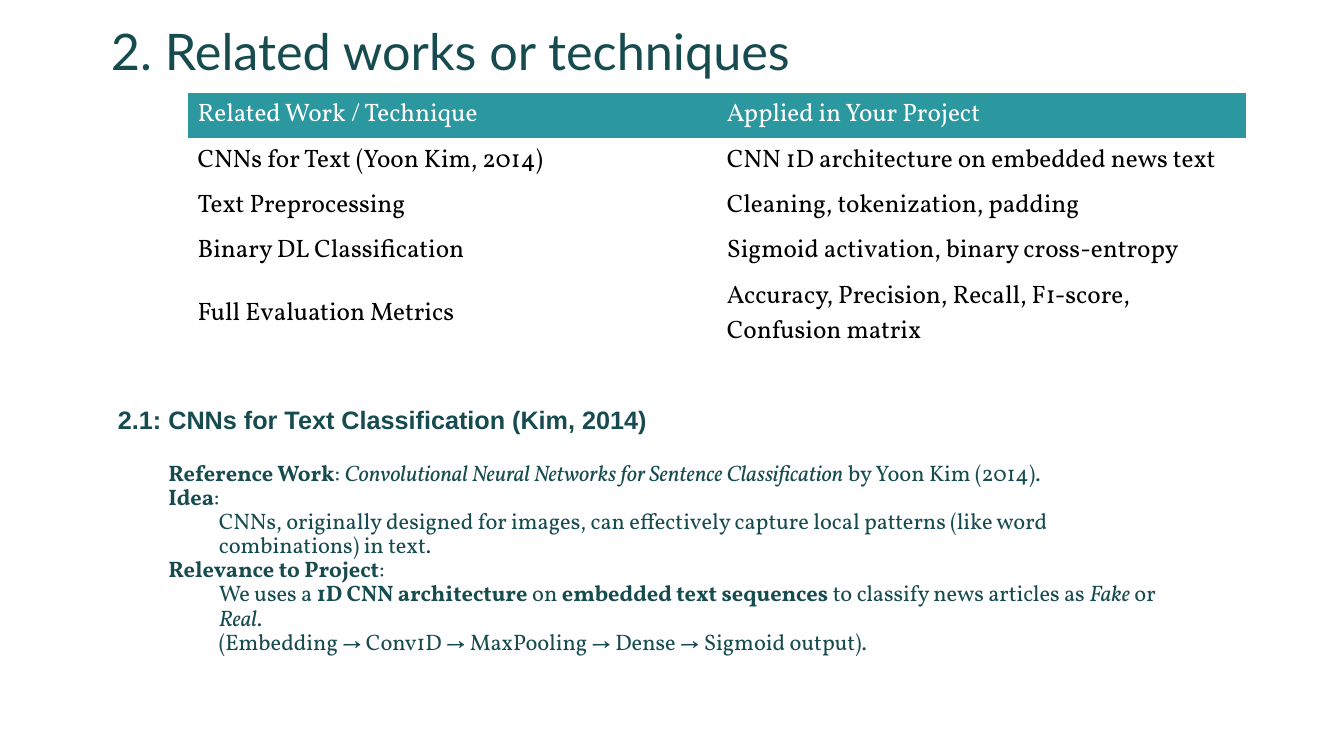
from dataclasses import dataclass

from lxml import etree
from pptx import Presentation
from pptx import util as u
from pptx.dml.color import RGBColor
from pptx.enum import text
from pptx.oxml.ns import qn

Inches, Pt = u.Inches, u.Pt
NO_GRID = "{2D5ABB26-0587-4C30-8999-92F81FD0307C}"


@dataclass(frozen=True)
class Theme:
    ink: str = "164B4F"
    accent: str = "2B979F"
    white: str = "FFFFFF"
    black: str = "000000"
    title_font: str = "Lato"
    heading_font: str = "Arial"
    body_font: str = "Vollkorn"
    title_size: int = 36
    heading_size: int = 18
    table_size: int = 18
    body_size: int = 16


THEME = Theme()

TECHNIQUES = [
    ("Related Work / Technique", "Applied in Your Project"),
    ("CNNs for Text (Yoon Kim, 2014)", "CNN 1D architecture on embedded news text"),
    ("Text Preprocessing", "Cleaning, tokenization, padding"),
    ("Binary DL Classification", "Sigmoid activation, binary cross-entropy"),
    ("Full Evaluation Metrics", "Accuracy, Precision, Recall, F1-score, Confusion matrix"),
]

# Each entry: outline level, then (text, style) pieces; "b" bold, "i" italic
HEADING = "2.1: CNNs for Text Classification (Kim, 2014)"
OUTLINE = [
    (1, [("Reference Work", "b"), (": ", ""),
         ("Convolutional Neural Networks for Sentence Classification", "i"),
         (" by Yoon Kim (2014).", "")]),
    (1, [("Idea", "b"), (":", "")]),
    (2, [("CNNs, originally designed for images, can effectively capture local "
          "patterns (like word combinations) in text.", "")]),
    (1, [("Relevance to Project", "b"), (":", "")]),
    (2, [("We uses a ", ""), ("1D CNN architecture", "b"), (" on ", ""),
         ("embedded text sequences", "b"), (" to classify news articles as ", ""),
         ("Fake", "i"), (" or ", ""), ("Real", "i"), (".", ""), ("\n", ""),
         ("(Embedding → Conv1D → MaxPooling → Dense → Sigmoid output).", "")]),
]


def place(sp, box):
    sp.left, sp.top, sp.width, sp.height = (Inches(v) for v in box)


def style_run(r, font, size, color, style=""):
    r.font.name, r.font.size = font, Pt(size)
    r.font.color.rgb = RGBColor.from_string(color)
    r.font.bold, r.font.italic = "b" in style, "i" in style


def add_title(s, box, title):
    sp = s.shapes.title
    place(sp, box)
    tf = sp.text_frame
    tf.text = title
    tf.vertical_anchor = text.MSO_ANCHOR.BOTTOM
    tf.auto_size = text.MSO_AUTO_SIZE.NONE
    p = tf.paragraphs[0]
    p.alignment = text.PP_ALIGN.LEFT
    p.line_spacing = 0.9
    style_run(p.runs[0], THEME.title_font, THEME.title_size, THEME.ink)


def add_technique_table(s, box, rows):
    left, top, width, height = (Inches(v) for v in box)
    frame = s.shapes.add_table(len(rows), len(rows[0]), left, top, width, height)
    table = frame.table
    table.horz_banding = False
    frame._element.find(".//" + qn("a:tableStyleId")).text = NO_GRID
    for i, row in enumerate(rows):
        # The last row holds two lines
        table.rows[i].height = Inches(0.8 if i == len(rows) - 1 else 0.45)
        for j, label in enumerate(row):
            cell = table.cell(i, j)
            cell.text = label
            cell.vertical_anchor = text.MSO_ANCHOR.MIDDLE
            if i == 0:
                cell.fill.solid()
                cell.fill.fore_color.rgb = RGBColor.from_string(THEME.accent)
            else:
                cell.fill.background()
            style_run(cell.text_frame.paragraphs[0].runs[0], THEME.body_font,
                      THEME.table_size, THEME.black if i else THEME.white)


def format_paragraph(p, level):
    p.level = level
    pPr = p._p.get_or_add_pPr()
    pPr.set("marL", str(Inches(0.5 * level)))
    pPr.set("indent", "0")
    etree.SubElement(pPr, qn("a:buNone"))
    p.line_spacing = 0.9
    p.space_before = Pt(0)


def add_outline(s, box, heading, outline):
    sp = s.placeholders[1]
    place(sp, box)
    tf = sp.text_frame
    tf.word_wrap = True
    tf.auto_size = text.MSO_AUTO_SIZE.NONE
    tf.text = heading
    p = tf.paragraphs[0]
    format_paragraph(p, 0)
    p.space_after = Pt(19.5)
    style_run(p.runs[0], THEME.heading_font, THEME.heading_size, THEME.ink, "b")
    for level, pieces in outline:
        p = tf.add_paragraph()
        format_paragraph(p, level)
        for piece, style in pieces:
            if piece == "\n":
                p.add_line_break()
                continue
            r = p.add_run()
            r.text = piece
            style_run(r, THEME.body_font, THEME.body_size, THEME.ink, style)


def build_related_works(prs):
    s = prs.slides.add_slide(prs.slide_layouts[1])
    # Title
    add_title(s, (1, 0.13, 10.21, 0.73), "2. Related works or techniques")
    # Technique table
    add_technique_table(s, (1.86, 0.92, 10.5, 2.6), TECHNIQUES)
    # Reference outline
    add_outline(s, (1.07, 3.99, 10.55, 2.59), HEADING, OUTLINE)


def main():
    prs = Presentation()
    prs.slide_width, prs.slide_height = Inches(13.33), Inches(7.5)
    build_related_works(prs)
    prs.save("out.pptx")


if __name__ == "__main__":
    main()
